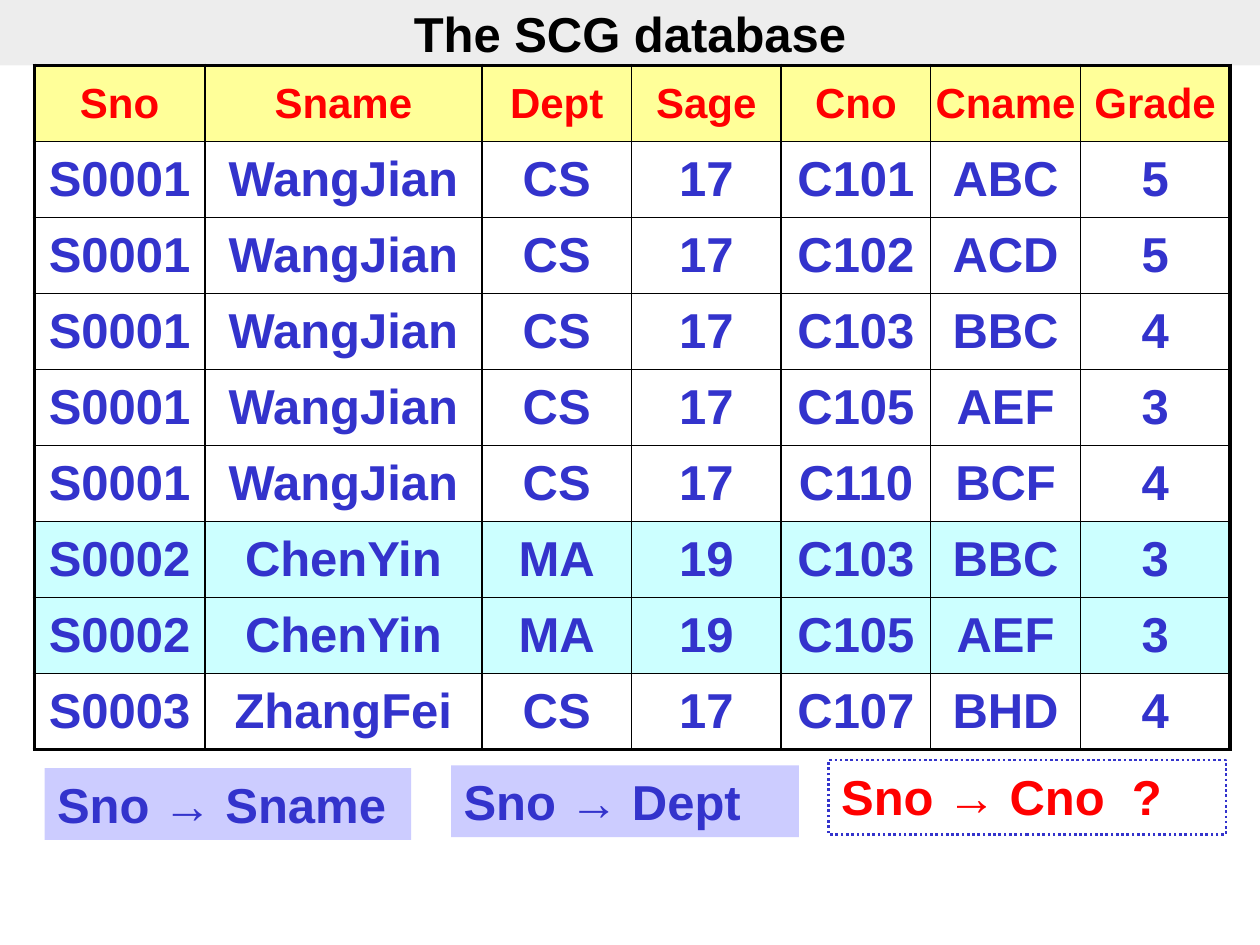
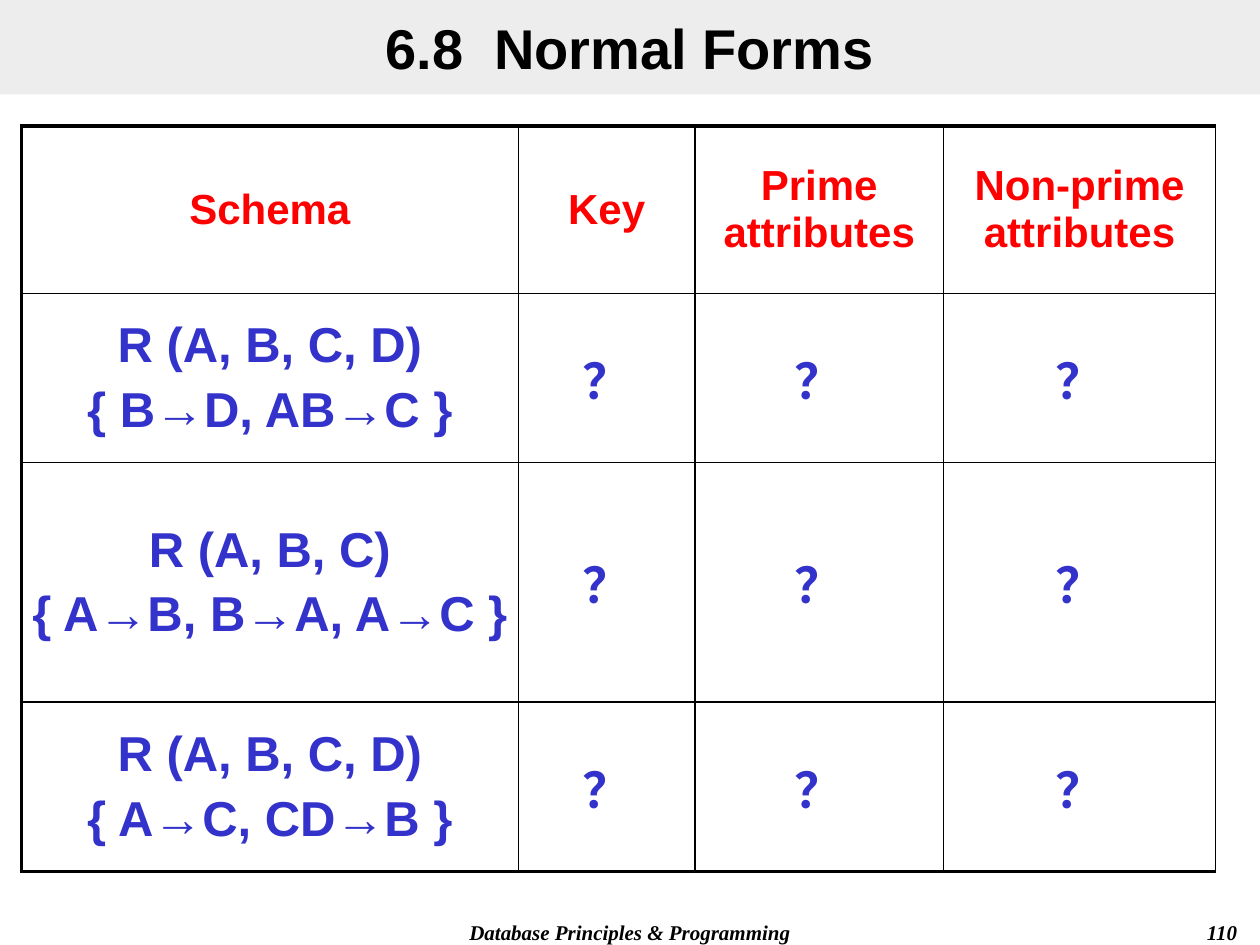
"""Build two slides on functional dependencies and normal forms."""
from dataclasses import dataclass

from lxml import etree
from pptx import Presentation
from pptx import util as u
from pptx.dml import color
from pptx.enum import dml, shapes, text
from pptx.oxml import ns

SANS, SERIF = "Arial", "Times New Roman"
BLACK, WHITE, RED, BLUE = "000000", "FFFFFF", "FF0000", "3333CC"
BAND, HEADER, HIGHLIGHT, LILAC = "DDDDDD", "FFFF99", "CCFFFF", "CCCCFF"
HEADER_SIZE, BODY_SIZE = 24, 28
THIN, THICK = 1, 2.25
TITLE_ONLY = 5

SCG_ROWS = [line.split() for line in (
    "Sno Sname Dept Sage Cno Cname Grade",
    "S0001 WangJian CS 17 C101 ABC 5",
    "S0001 WangJian CS 17 C102 ACD 5",
    "S0001 WangJian CS 17 C103 BBC 4",
    "S0001 WangJian CS 17 C105 AEF 3",
    "S0001 WangJian CS 17 C110 BCF 4",
    "S0002 ChenYin MA 19 C103 BBC 3",
    "S0002 ChenYin MA 19 C105 AEF 3",
    "S0003 ZhangFei CS 17 C107 BHD 4",
)]
SCHEMAS = [
    "R (A, B, C, D)\n{ B→D, AB→C }",
    "R (A, B, C)\n{ A→B, B→A, A→C }",
    "R (A, B, C, D)\n{ A→C, CD→B }",
]


@dataclass
class Box:
    """A rectangle in points."""
    left: float
    top: float
    width: float
    height: float

    def lengths(self) -> list[u.Pt]:
        """Return the four lengths as Pt."""
        return [u.Pt(value) for value in (self.left, self.top, self.width, self.height)]


@dataclass
class TextStyle:
    """Character and paragraph formatting."""
    size: float
    color: str = BLACK
    font: str = SANS
    italic: bool = False
    align: text.PP_ALIGN = text.PP_ALIGN.CENTER
    space_before: float = 0


@dataclass
class Grid:
    """A ruled table with its sizes, cell margins and fills."""
    left: float
    top: float
    columns: list[float]
    heights: list[float]
    rows: list[list[str]]
    margin: float
    right_edge: float
    fills: dict[int, str]


@dataclass
class Dependency:
    """A label that states one functional dependency."""
    wording: str
    box: Box
    fill: str = LILAC
    color: str = BLUE
    dotted: bool = False


HEADER_STYLE = TextStyle(HEADER_SIZE, RED, space_before=0.2 * HEADER_SIZE)
BODY_STYLE = TextStyle(BODY_SIZE, BLUE, space_before=0.2 * BODY_SIZE)

SCG_GRID = Grid(19.6, 37.4, [97.5, 158.3] + [85.5] * 5, [43.45] * 9, SCG_ROWS,
                0, THICK, {0: HEADER, 6: HIGHLIGHT, 7: HIGHLIGHT})
NORMAL_FORMS_GRID = Grid(
    12.2, 72, [284, 101, 142, 155.5], [95.6, 96.8, 136.9, 96.8],
    [["Schema", "Key", "Prime attributes", "Non-prime attributes"]]
    + [[schema] + ["？"] * 3 for schema in SCHEMAS],
    3.6, THIN, {})
DEPENDENCIES = [
    Dependency("Sno → Sname", Box(25.5, 439, 209.5, 41)),
    Dependency("Sno → Dept", Box(257.8, 437.4, 198.7, 41)),
    Dependency("Sno → Cno  ?", Box(473.6, 434.3, 227, 42.5), WHITE, RED, True),
]


def rgb(value: str) -> color.RGBColor:
    """Turn a hex string into a colour."""
    return color.RGBColor.from_string(value)


def write(frame, wording: str, style: TextStyle) -> None:
    """Write each line of the wording as a styled paragraph."""
    for index, line in enumerate(wording.split("\n")):
        paragraph = frame.add_paragraph() if index else frame.paragraphs[0]
        paragraph.alignment = style.align
        paragraph.space_before = u.Pt(style.space_before)
        run = paragraph.add_run()
        run.text = line
        run.font.name = style.font
        run.font.size = u.Pt(style.size)
        run.font.bold = True
        run.font.italic = style.italic
        run.font.color.rgb = rgb(style.color)


def add_titled_slide(presentation, title: str, height: float, size: float):
    """Add a slide whose title fills a translucent band across the top."""
    slide = presentation.slides.add_slide(presentation.slide_layouts[TITLE_ONLY])
    shape = slide.shapes.title
    shape.left, shape.top, shape.width, shape.height = Box(0, 0, 720, height).lengths()
    shape.fill.solid()
    shape.fill.fore_color.rgb = rgb(BAND)
    shade = shape.element.spPr.find(".//" + ns.qn("a:srgbClr"))
    etree.SubElement(shade, ns.qn("a:alpha"), val="50000")
    frame = shape.text_frame
    frame.auto_size = text.MSO_AUTO_SIZE.NONE
    frame.vertical_anchor = text.MSO_ANCHOR.MIDDLE
    write(frame, title, TextStyle(size))
    return slide


def set_borders(cell, widths: list[float]) -> None:
    """Rule the left, right, top and bottom sides of a cell in black."""
    properties = cell._tc.get_or_add_tcPr()
    for index, (side, width) in enumerate(zip("LRTB", widths)):
        line = etree.Element(ns.qn(f"a:ln{side}"), w=str(u.Pt(width)))
        fill = etree.SubElement(line, ns.qn("a:solidFill"))
        etree.SubElement(fill, ns.qn("a:srgbClr"), val=BLACK)
        properties.insert(index, line)


def add_grid(slide, grid: Grid) -> None:
    """Draw a table with a header row and a thick outer frame."""
    box = Box(grid.left, grid.top, sum(grid.columns), sum(grid.heights))
    last_row, last_column = len(grid.heights) - 1, len(grid.columns) - 1
    table = slide.shapes.add_table(last_row + 1, last_column + 1, *box.lengths()).table
    table.first_row = table.horz_banding = False
    for column, width in zip(table.columns, grid.columns):
        column.width = u.Pt(width)
    for row, height in zip(table.rows, grid.heights):
        row.height = u.Pt(height)
    for i, wordings in enumerate(grid.rows):
        for j, wording in enumerate(wordings):
            cell = table.cell(i, j)
            cell.margin_left = cell.margin_right = 0
            cell.margin_top = cell.margin_bottom = u.Pt(grid.margin)
            cell.vertical_anchor = text.MSO_ANCHOR.MIDDLE
            if i in grid.fills:
                cell.fill.solid()
                cell.fill.fore_color.rgb = rgb(grid.fills[i])
            else:
                cell.fill.background()
            set_borders(cell, [
                THIN if j else THICK,
                grid.right_edge if j == last_column else THIN,
                THIN if i else THICK,
                THICK if i == last_row else THIN,
            ])
            write(cell.text_frame, wording, BODY_STYLE if i else HEADER_STYLE)


def add_dependency(slide, dependency: Dependency) -> None:
    """Draw a filled label, with a dotted outline where asked."""
    shape = slide.shapes.add_shape(shapes.MSO_SHAPE.RECTANGLE, *dependency.box.lengths())
    shape.shadow.inherit = False
    shape.fill.solid()
    shape.fill.fore_color.rgb = rgb(dependency.fill)
    if dependency.dotted:
        shape.line.color.rgb = rgb(BLUE)
        shape.line.width = u.Pt(1.5)
        shape.line.dash_style = dml.MSO_LINE.ROUND_DOT
    else:
        shape.line.fill.background()
    frame = shape.text_frame
    frame.word_wrap = True
    frame.auto_size = text.MSO_AUTO_SIZE.SHAPE_TO_FIT_TEXT
    frame.vertical_anchor = text.MSO_ANCHOR.TOP
    write(frame, dependency.wording,
          TextStyle(BODY_SIZE, dependency.color, align=text.PP_ALIGN.LEFT))


def add_footer(slide, wording: str, left: float, width: float, align: text.PP_ALIGN) -> None:
    """Write one italic footer item at the bottom edge."""
    frame = slide.shapes.add_textbox(*Box(left, 522, width, 18).lengths()).text_frame
    frame.word_wrap = True
    write(frame, wording, TextStyle(12, font=SERIF, italic=True, align=align))


def main() -> None:
    """Build and save the presentation."""
    presentation = Presentation()
    presentation.slide_width, presentation.slide_height = u.Pt(720), u.Pt(540)

    database = add_titled_slide(presentation, "The SCG database", 37.4, 28)
    add_grid(database, SCG_GRID)
    for dependency in DEPENDENCIES:
        add_dependency(database, dependency)

    normal_forms = add_titled_slide(presentation, "6.8  Normal Forms", 54, 32)
    add_grid(normal_forms, NORMAL_FORMS_GRID)
    add_footer(normal_forms, "Database Principles & Programming", 204, 312,
               text.PP_ALIGN.CENTER)
    add_footer(normal_forms, "110", 564, 150, text.PP_ALIGN.RIGHT)

    presentation.save("out.pptx")


if __name__ == "__main__":
    main()
